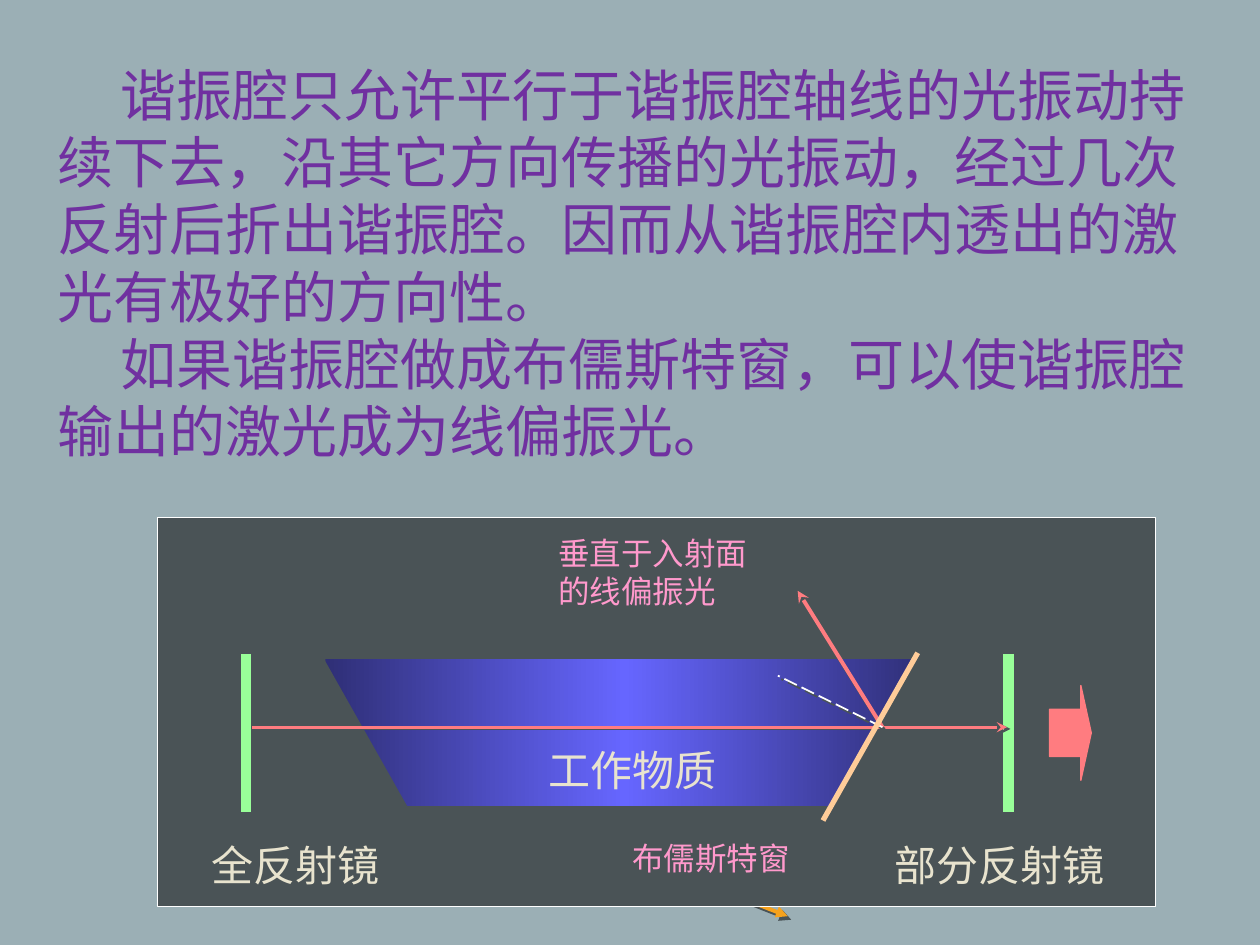
from copy import deepcopy

from pptx import Presentation
from pptx.dml.color import RGBColor
from pptx.enum.dml import MSO_LINE_DASH_STYLE as Dash
from pptx.enum.shapes import MSO_CONNECTOR, MSO_SHAPE as Shape
from pptx.enum.text import MSO_ANCHOR, PP_ALIGN
from pptx.oxml.ns import qn
from pptx.util import Cm, Pt
from lxml.etree import SubElement

BACKGROUND = RGBColor(0x9B, 0xAF, 0xB5)
PURPLE = RGBColor(0x70, 0x30, 0xA0)
SLATE = RGBColor(0x4A, 0x53, 0x56)
WHITE = RGBColor(0xFF, 0xFF, 0xFF)
NAVY = RGBColor(0x2F, 0x2F, 0x76)
BLUE = RGBColor(0x66, 0x66, 0xFF)
GREEN = RGBColor(0x99, 0xFF, 0x99)
CREAM = RGBColor(0xE8, 0xE3, 0xCE)
PINK = RGBColor(0xFF, 0x99, 0xCC)
CORAL = RGBColor(0xFF, 0x7C, 0x80)
PEACH = RGBColor(0xFF, 0xCC, 0x99)
ORANGE = RGBColor(0xF6, 0xA2, 0x1D)

BODY_FONT, LABEL_FONT = "Noto Sans CJK SC", "Cabin"
LINE_HEIGHT = 1.2

PARAGRAPHS = [
    "\t谐振腔只允许平行于谐振腔轴线的光振动持续下去，沿其它方向传播的光振动，"
    "经过几次反射后折出谐振腔。因而从谐振腔内透出的激光有极好的方向性。",
    "\t如果谐振腔做成布儒斯特窗，可以使谐振腔输出的激光成为线偏振光。",
]
# text, left, top, width, height, size, colour
LABELS = [
    ("工作物质", 7.62, 4.45, 5.51, 1.27, 24, CREAM),
    ("全反射镜", 0.84, 6.35, 5.72, 1.27, 24, CREAM),
    ("部分反射镜", 14.61, 6.35, 5.51, 1.27, 24, CREAM),
    ("垂直于入射面的线偏振光", 7.82, 0.2, 4.65, 1.78, 18, PINK),
    ("布儒斯特窗", 9.32, 6.35, 5.51, 1.02, 18, PINK),
]


def style_paragraph(paragraph, font_name, size, color):
    paragraph.alignment = PP_ALIGN.LEFT
    paragraph.line_spacing = Pt(size * LINE_HEIGHT)
    paragraph.space_before = Pt(0)
    for run in paragraph.runs:
        run.font.name = font_name
        run.font.size = Pt(size)
        run.font.color.rgb = color


def add_body(slide, left, top, width, height):
    slide.shapes.title.element.getparent().remove(slide.shapes.title.element)
    body = slide.placeholders[1]
    body.left, body.top, body.width, body.height = map(Cm, (left, top, width, height))
    frame = body.text_frame
    frame.vertical_anchor = MSO_ANCHOR.TOP
    frame.text = "\n".join(PARAGRAPHS)
    for paragraph in frame.paragraphs:
        properties = paragraph._p.get_or_add_pPr()
        properties.set("marL", "0")
        properties.set("indent", "0")
        SubElement(properties, qn("a:buNone"))
        tabs = SubElement(properties, qn("a:tabLst"))
        SubElement(tabs, qn("a:tab"), pos=str(Cm(1.27)), algn="l")
        style_paragraph(paragraph, BODY_FONT, 32, PURPLE)


def add_ray(slide, x, y, start, end, color, weight, head=None, shadow=None):
    """Draw a line between points relative to (x, y); shadow is (points, degrees)."""
    ray = slide.shapes.add_connector(
        MSO_CONNECTOR.STRAIGHT,
        Cm(x + start[0]), Cm(y + start[1]), Cm(x + end[0]), Cm(y + end[1]))
    ray.line.color.rgb = color
    ray.line.width = Pt(weight)
    if head:
        SubElement(ray.line._get_or_add_ln(), qn("a:tailEnd"), type=head)
    effects = SubElement(ray._element.spPr, qn("a:effectLst"))
    if shadow:
        distance, angle = shadow
        outer = SubElement(effects, qn("a:outerShdw"), dist=str(Pt(distance)),
                           dir=str(angle * 60000), algn="ctr", rotWithShape="0")
        SubElement(outer, qn("a:srgbClr"), val=str(SLATE))
    return ray


def add_block(slide, kind, left, top, width, height, fill, line=None):
    block = slide.shapes.add_shape(kind, Cm(left), Cm(top), Cm(width), Cm(height))
    block.shadow.inherit = False
    block.fill.solid()
    block.fill.fore_color.rgb = fill
    if line is None:
        block.line.fill.background()
    else:
        block.line.color.rgb = line
        block.line.width = Pt(0.75)
    return block


def add_medium(slide, x, y):
    """Draw the gradient bar and cut its two ends to Brewster's angle."""
    medium = add_block(slide, Shape.RECTANGLE, x + 3.38, y + 2.84, 12.07, 2.97, BLUE)
    medium.fill.gradient()
    medium.fill.gradient_angle = 0
    first, last = medium.fill.gradient_stops
    first.color.rgb = last.color.rgb = NAVY
    first.position, last.position = 0, 1
    stops = medium._element.spPr.find(qn("a:gradFill")).find(qn("a:gsLst"))
    stops.insert(1, deepcopy(stops[0]))
    middle = medium.fill.gradient_stops[1]
    middle.color.rgb, middle.position = BLUE, 0.5

    add_block(slide, Shape.RIGHT_TRIANGLE, x + 3.18, y + 2.54, 1.91, 3.38, SLATE)
    right_cut = add_block(slide, Shape.ISOSCELES_TRIANGLE,
                          x + 13.54, y + 2.54, 1.91, 3.38, SLATE)
    right_cut.adjustments[0] = 1


def add_label(slide, x, y, label):
    text, left, top, width, height, size, color = label
    box = slide.shapes.add_textbox(Cm(x + left), Cm(y + top), Cm(width), Cm(height))
    box.text_frame.word_wrap = True
    box.text_frame.text = text
    style_paragraph(box.text_frame.paragraphs[0], LABEL_FONT, size, color)


def add_cavity(slide, x, y, width, height):
    add_ray(slide, x, y, (3.61, 4.45), (12.7, 8.03), ORANGE, 2.25, "triangle", (2.8, 45))
    add_block(slide, Shape.RECTANGLE, x, y, width, height, SLATE, WHITE)
    add_medium(slide, x, y)
    for mirror_x in (1.78, 17.15):
        add_ray(slide, x, y, (mirror_x, 2.74), (mirror_x, 5.92), GREEN, 6)

    incidence = (14.61, 4.22)
    add_ray(slide, x, y, (1.91, 4.22), (17.12, 4.22), CORAL, 1.5, "stealth", (2.2, 27))
    add_ray(slide, x, y, incidence, (12.9, 1.47), CORAL, 2.25, "stealth", (2.2, 63))
    normal = add_ray(slide, x, y, incidence, (12.5, 3.18), WHITE, 1, shadow=(2.8, 45))
    normal.line.dash_style = Dash.LONG_DASH
    add_ray(slide, x, y, (15.32, 2.72), (13.41, 6.1), PEACH, 3)

    for label in LABELS:
        add_label(slide, x, y, label)
    output = add_block(slide, Shape.RIGHT_ARROW,
                       x + 17.98, y + 3.38, 0.84, 1.91, CORAL, CORAL)
    output.adjustments[1] = 0.25


def main():
    presentation = Presentation()
    presentation.slide_width, presentation.slide_height = Cm(25.4), Cm(19.05)
    slide = presentation.slides.add_slide(presentation.slide_layouts[1])
    slide.background.fill.solid()
    slide.background.fill.fore_color.rgb = BACKGROUND
    add_body(slide, 0.91, 1.09, 24.1, 12.75)
    add_cavity(slide, 3.18, 10.44, 20.11, 7.83)
    presentation.save("out.pptx")


if __name__ == "__main__":
    main()
